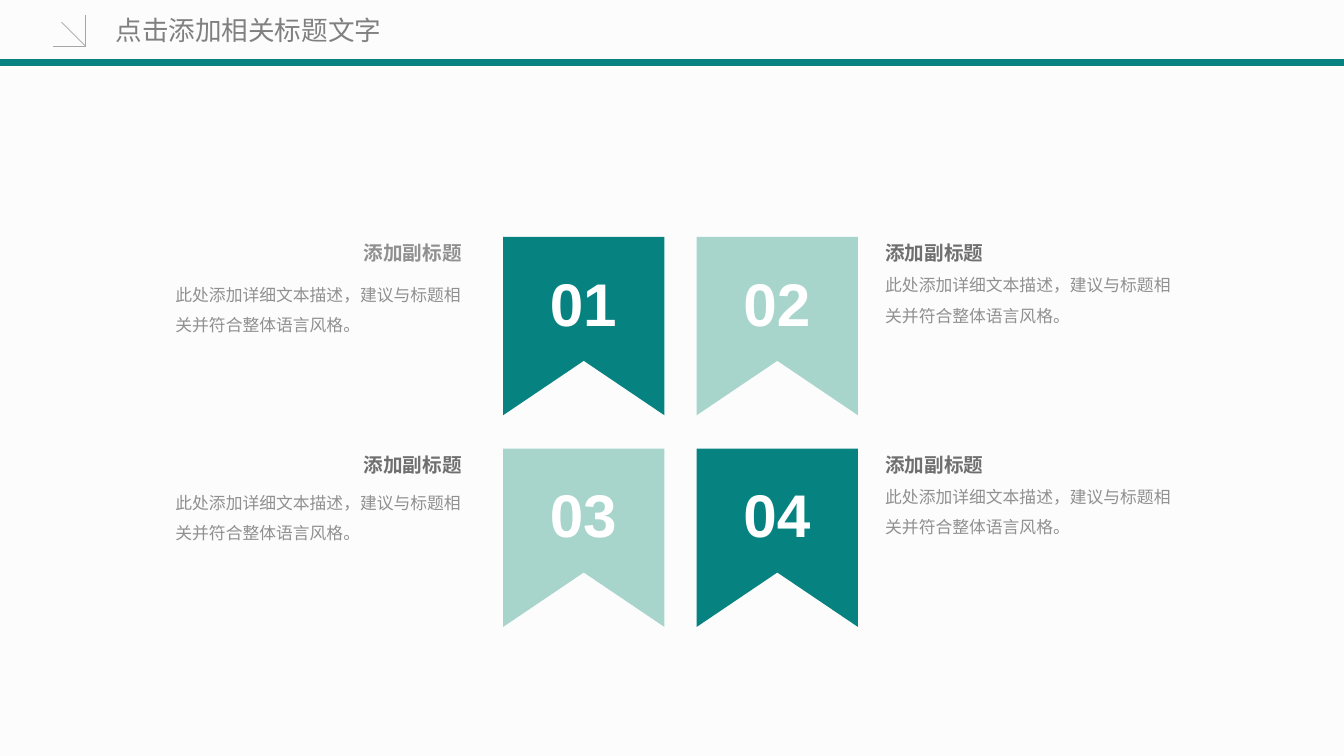
from lxml.etree import SubElement
from pptx import Presentation
from pptx.dml.color import RGBColor
from pptx.enum.shapes import MSO_CONNECTOR
from pptx.enum.text import MSO_ANCHOR, PP_ALIGN
from pptx.oxml.ns import qn
from pptx.util import Inches, Pt

BACKGROUND = RGBColor(0xFC, 0xFC, 0xFC)
TEAL = RGBColor(0x06, 0x83, 0x80)
MINT = RGBColor(0xA7, 0xD5, 0xCC)
WHITE = RGBColor(0xFF, 0xFF, 0xFF)
TITLE_GREY = RGBColor(0x80, 0x80, 0x80)
DARK_GREY = RGBColor(0x6F, 0x6F, 0x6F)
TEXT_GREY = RGBColor(0x90, 0x90, 0x90)
LINE_GREY = RGBColor(0xA6, 0xA6, 0xA6)

SANS = "Noto Sans CJK SC"
TITLE = "点击添加相关标题文字"
SUBTITLE = "添加副标题"
DETAIL = "此处添加详细文本描述，建议与标题相关并符合整体语言风格。"

RIBBON_WIDTH, RIBBON_HEIGHT, RIBBON_NOTCH = 1.6, 1.77, 0.54
COLUMN_LEFTS = (4.99, 6.91)
ROW_TOPS = (2.35, 4.45)
DETAIL_LEFTS = (1.74, 8.78)
DETAIL_WIDTH, DETAIL_HEIGHT = 2.84, 1.57
SUBTITLE_WIDTH, SUBTITLE_HEIGHT = 0.98, 0.24

ITEMS = (
    ("01", TEAL, TEXT_GREY, 0.37),
    ("02", MINT, DARK_GREY, 0.28),
    ("03", MINT, DARK_GREY, 0.34),
    ("04", TEAL, DARK_GREY, 0.28),
)


def apply_format(target, values):
    """Set every attribute in values on the target."""
    for name, value in values.items():
        setattr(target, name, value)


def add_text(slide, text, box, font, color, frame=None, paragraph_format=None):
    """Add a one-paragraph text box."""
    shape = slide.shapes.add_textbox(*map(Inches, box))
    apply_format(shape.text_frame, {"word_wrap": True, **(frame or {})})
    paragraph = shape.text_frame.paragraphs[0]
    apply_format(paragraph, paragraph_format or {})
    run = paragraph.add_run()
    run.text = text
    apply_format(run.font, font)
    run.font.color.rgb = color
    east_asian = SubElement(run.font._element, qn("a:ea"))
    east_asian.set("typeface", font["name"])


def add_line(slide, start, end, color, width):
    """Add a straight line without a shadow."""
    line = slide.shapes.add_connector(
        MSO_CONNECTOR.STRAIGHT, *map(Inches, start + end)
    )
    line.line.color.rgb = color
    line.line.width = Pt(width)
    SubElement(line._element.spPr, qn("a:effectLst"))


def add_ribbon(slide, left, top, number, color):
    """Add a notched ribbon with its number."""
    right, bottom = left + RIBBON_WIDTH, top + RIBBON_HEIGHT
    middle = left + RIBBON_WIDTH / 2
    corners = (
        (right, top),
        (right, bottom),
        (middle, bottom - RIBBON_NOTCH),
        (left, bottom),
    )
    builder = slide.shapes.build_freeform(Inches(left), Inches(top))
    builder.add_line_segments([tuple(map(Inches, corner)) for corner in corners])
    ribbon = builder.convert_to_shape()
    ribbon.shadow.inherit = False
    ribbon.fill.solid()
    ribbon.fill.fore_color.rgb = color
    ribbon.line.fill.background()
    add_text(
        slide, number, (middle - 0.44, top + 0.24, 0.87, 0.82),
        {"name": "Arial", "size": Pt(43), "bold": True}, WHITE,
        {"word_wrap": False}, {"alignment": PP_ALIGN.CENTER},
    )


def add_description(slide, column, top, subtitle_color, detail_offset):
    """Add the subtitle and detail text beside a ribbon."""
    margins = dict.fromkeys(
        ("margin_left", "margin_right", "margin_top", "margin_bottom"), 0
    )
    left = DETAIL_LEFTS[column]
    subtitle_left = left if column else left + DETAIL_WIDTH - SUBTITLE_WIDTH
    alignment = PP_ALIGN.LEFT if column else PP_ALIGN.RIGHT
    add_text(
        slide, SUBTITLE,
        (subtitle_left, top + 0.04, SUBTITLE_WIDTH, SUBTITLE_HEIGHT),
        {"name": "Arial", "size": Pt(14), "bold": True}, subtitle_color,
        {**margins, "word_wrap": False, "vertical_anchor": MSO_ANCHOR.MIDDLE},
        {"alignment": alignment},
    )
    add_text(
        slide, DETAIL,
        (left, top + detail_offset, DETAIL_WIDTH, DETAIL_HEIGHT),
        {"name": SANS, "size": Pt(12)}, TEXT_GREY,
        margins, {"line_spacing": 1.5},
    )


def add_header(slide):
    """Add the rule, the corner arrow and the title."""
    add_line(slide, (0, 0.62), (13.33, 0.62), TEAL, 4.5)
    corner = (0.85, 0.46)
    for end in ((0.53, 0.46), (0.85, 0.15), (0.61, 0.22)):
        add_line(slide, corner, end, LINE_GREY, 0.5)
    add_text(
        slide, TITLE, (1.05, 0.08, 3.06, 0.44),
        {"name": SANS, "size": Pt(19)}, TITLE_GREY,
        {"vertical_anchor": MSO_ANCHOR.MIDDLE},
    )


def main():
    """Build the slide and save it."""
    presentation = Presentation()
    apply_format(
        presentation,
        {"slide_width": Inches(13.33), "slide_height": Inches(7.5)},
    )
    slide = presentation.slides.add_slide(presentation.slide_layouts[6])
    slide.background.fill.solid()
    slide.background.fill.fore_color.rgb = BACKGROUND
    for index, (number, color, subtitle_color, offset) in enumerate(ITEMS):
        row, column = divmod(index, 2)
        top = ROW_TOPS[row]
        add_ribbon(slide, COLUMN_LEFTS[column], top, number, color)
        add_description(slide, column, top, subtitle_color, offset)
    add_header(slide)
    presentation.save("out.pptx")


if __name__ == "__main__":
    main()
